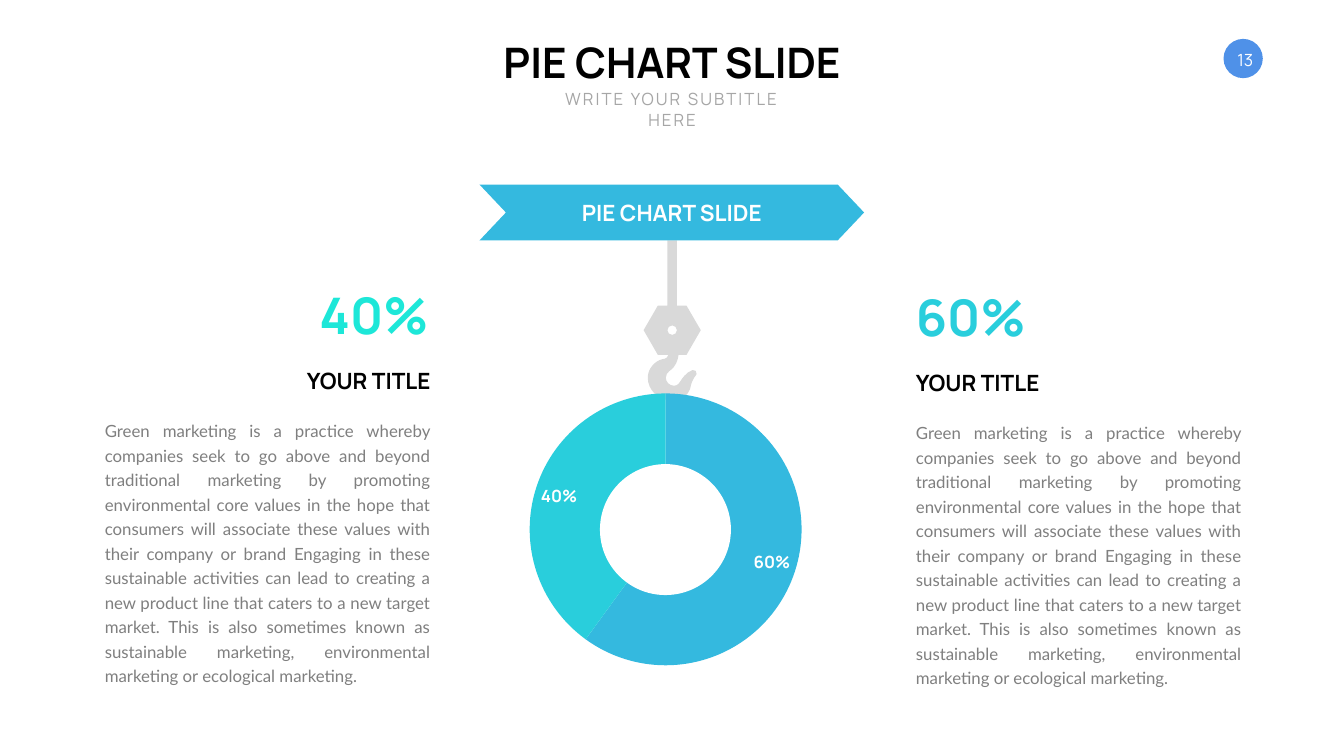
from lxml import etree
from pptx import Presentation
from pptx.chart.data import CategoryChartData
from pptx.dml.color import RGBColor
from pptx.enum.chart import XL_CHART_TYPE, XL_LABEL_POSITION
from pptx.enum.shapes import MSO_SHAPE as SHAPE
from pptx.enum.text import MSO_ANCHOR as ANCHOR, PP_ALIGN as ALIGN
from pptx.oxml.ns import qn
from pptx.util import Cm, Pt


def paint(shape, color):
    shape.shadow.inherit = False
    shape.fill.solid()
    shape.fill.fore_color.rgb = RGBColor.from_string(color)
    shape.line.fill.background()


def add_text(text, left, top, width, height, size, color, align=ALIGN.CENTER,
             anchor=ANCHOR.TOP, bold=False, font="Manrope", wrap=False):
    box = slide.shapes.add_textbox(Cm(left), Cm(top), Cm(width), Cm(height))
    frame = box.text_frame
    frame.word_wrap = wrap
    frame.vertical_anchor = anchor
    paragraph = frame.paragraphs[0]
    paragraph.text = text
    paragraph.alignment = align
    paragraph.font.size = Pt(size)
    paragraph.font.name = font
    paragraph.font.bold = bold
    paragraph.font.color.rgb = RGBColor.from_string(color)
    return paragraph


presentation = Presentation()
presentation.slide_width = Cm(67.72)
presentation.slide_height = Cm(38.1)
slide = presentation.slides.add_slide(presentation.slide_layouts[6])

badge = slide.shapes.add_shape(SHAPE.OVAL, Cm(61.65), Cm(1.96), Cm(1.98), Cm(1.98))
paint(badge, "4F91E8")
add_text("13", 61.87, 2.13, 1.75, 1.75, 24, "FFFFFF", anchor=ANCHOR.MIDDLE)

hook_x, hook_y = 33.87, 12.12
left_block = [(-0.24, 0), (-0.24, 3.28), (-0.72, 3.28), (-1.44, 4.52), (-0.72, 5.77)]
hook_curves = [
    [(-0.72, 5.77), (-0.44, 5.77), (-0.19, 5.77)],
    [(-0.22, 5.87), (-0.29, 5.97), (-0.52, 5.99)],
    [(-0.85, 6.07), (-1.23, 6.45), (-1.23, 6.91)],
    [(-1.23, 7.49), (-0.75, 8.08), (0.06, 8.08)],
    [(0.42, 8.08), (0.8, 7.8), (0.9, 7.49)],
    [(0.93, 7.34), (0.98, 7.14), (1.03, 7.06)],
    [(1.16, 6.78), (1.21, 6.83), (1.23, 6.73)],
    [(1.26, 6.63), (1.16, 6.48), (1.03, 6.53)],
    [(0.7, 6.63), (0.44, 7.04), (0.44, 7.06)],
    [(0.37, 7.19), (0.27, 7.32), (0.09, 7.32)],
    [(-0.14, 7.32), (-0.32, 7.14), (-0.32, 6.91)],
    [(-0.32, 6.78), (-0.24, 6.65), (-0.14, 6.58)],
    [(0.22, 6.35), (0.29, 5.97), (0.32, 5.77)],
    [(0.47, 5.77), (0.72, 5.77), (0.72, 5.77)],
]
right_block = [(-x, y) for x, y in reversed(left_block[:-1])]
outline = [[point] for point in left_block[1:]] + hook_curves
outline += [[point] for point in right_block + left_block[:1]]
hole = [
    [(0.13, 4.28), (0.24, 4.39), (0.24, 4.52)],
    [(0.24, 4.65), (0.13, 4.76), (0, 4.76)],
    [(-0.13, 4.76), (-0.24, 4.65), (-0.24, 4.52)],
    [(-0.24, 4.39), (-0.13, 4.28), (0, 4.28)],
]
starts = [left_block[0], hole[-1][-1]]
outline, hole, (starts,) = (
    [[(Cm(hook_x + x), Cm(hook_y + y)) for x, y in segment] for segment in segments]
    for segments in (outline, hole, [starts]))
builder = slide.shapes.build_freeform(*starts[0])
builder.add_line_segments([segment[-1] for segment in outline])
builder.move_to(*starts[1])
builder.add_line_segments([segment[-1] for segment in hole])
hook = builder.convert_to_shape()
paint(hook, "D9D9D9")
for line, segment in zip(list(hook._element.iter(qn("a:lnTo"))), outline + hole):
    if len(segment) == 3:
        curve = etree.Element(qn("a:cubicBezTo"))
        for x, y in segment:
            etree.SubElement(curve, qn("a:pt"), x=str(x - hook.left), y=str(y - hook.top))
        line.getparent().replace(line, curve)

banner = slide.shapes.add_shape(SHAPE.CHEVRON, Cm(24.16), Cm(9.3), Cm(19.38), Cm(2.82))
banner.adjustments[0] = 0.473
paint(banner, "34B9DF")

add_text("PIE CHART SLIDE", 25.04, 1.7, 17.65, 2.82, 60, "000000", bold=True)
subtitle = add_text("WRITE YOUR SUBTITLE HERE", 26.97, 4.37, 13.79, 1.27, 24, "A6A6A6", wrap=True)
subtitle.runs[0].font._element.set("spc", "300")
add_text("PIE CHART SLIDE", 29.03, 9.88, 9.65, 1.63, 32, "FFFFFF", anchor=ANCHOR.MIDDLE, bold=True)

body = (
    "Green marketing is a practice whereby companies seek to go above and beyond traditional "
    "marketing by promoting environmental core values in the hope that consumers will associate "
    "these values with their company or brand Engaging in these sustainable activities can lead "
    "to creating a new product line that caters to a new target market. This is also sometimes "
    "known as sustainable marketing, environmental marketing or ecological marketing."
)
columns = [
    ("60%", "29CEDC", ALIGN.LEFT, 14.25, 45.9, 6.05, 45.9, 45.9),
    ("40%", "1DE7D8", ALIGN.RIGHT, 14.15, 15.7, 6.15, 15.14, 5.03),
]
for share, color, align, top, share_left, share_width, title_left, body_left in columns:
    add_text(share, share_left, top, share_width, 3.33, 72, color, align, ANCHOR.BOTTOM, True)
    add_text("YOUR TITLE", title_left, top + 4.21, 6.81, 1.63, 32, "000000", align, ANCHOR.MIDDLE, True)
    paragraph = add_text(body, body_left, top + 6.71, 16.89, 13.84, 24, "7F7F7F",
                         ALIGN.JUSTIFY, font="Lato", wrap=True)
    paragraph.line_spacing = Pt(35)

chart_data = CategoryChartData()
chart_data.categories = ["1", "2"]
chart_data.add_series("Series 1", (60, 40))
chart = slide.shapes.add_chart(XL_CHART_TYPE.PIE, Cm(26.62), Cm(19.76), Cm(13.84), Cm(13.84), chart_data).chart
chart.has_legend = False
chart.has_title = False
chart.font.size = Pt(24)
chart.font.name = "Manrope"
chart.font.bold = True
chart.font.color.rgb = RGBColor.from_string("FFFFFF")
plot = chart.plots[0]
plot.vary_by_categories = True
plot.has_data_labels = True
labels = plot.data_labels
labels.show_percentage = True
labels.show_value = False
labels.number_format = "#,##0%"
labels.number_format_is_linked = False
labels.position = XL_LABEL_POSITION.BEST_FIT
for index, color in enumerate(["34B9DF", "29CEDC"]):
    point_format = plot.series[0].points[index].format
    point_format.fill.solid()
    point_format.fill.fore_color.rgb = RGBColor.from_string(color)
    point_format.line.fill.background()

plot_area = chart._chartSpace.chart.plotArea
for layout in plot_area.findall(qn("c:layout")):
    plot_area.remove(layout)
layout = etree.Element(qn("c:layout"))
manual = etree.SubElement(layout, qn("c:manualLayout"))
settings = [("layoutTarget", "inner"), ("xMode", "edge"), ("yMode", "edge"),
            ("x", "0.005"), ("y", "0.005"), ("w", "0.99"), ("h", "0.99")]
for name, value in settings:
    etree.SubElement(manual, qn(f"c:{name}"), val=value)
plot_area.insert(0, layout)

center = slide.shapes.add_shape(SHAPE.OVAL, Cm(30.23), Cm(23.39), Cm(6.6), Cm(6.6))
paint(center, "FFFFFF")

presentation.save("out.pptx")
